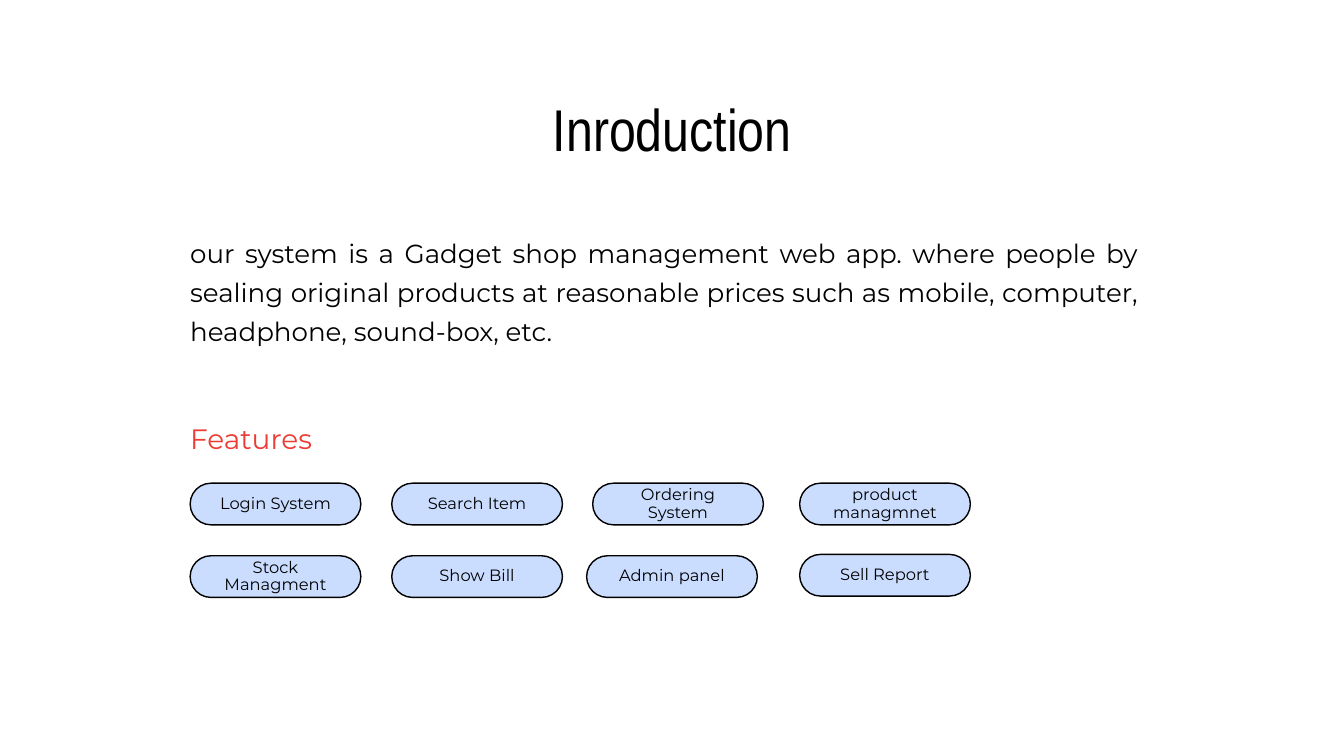
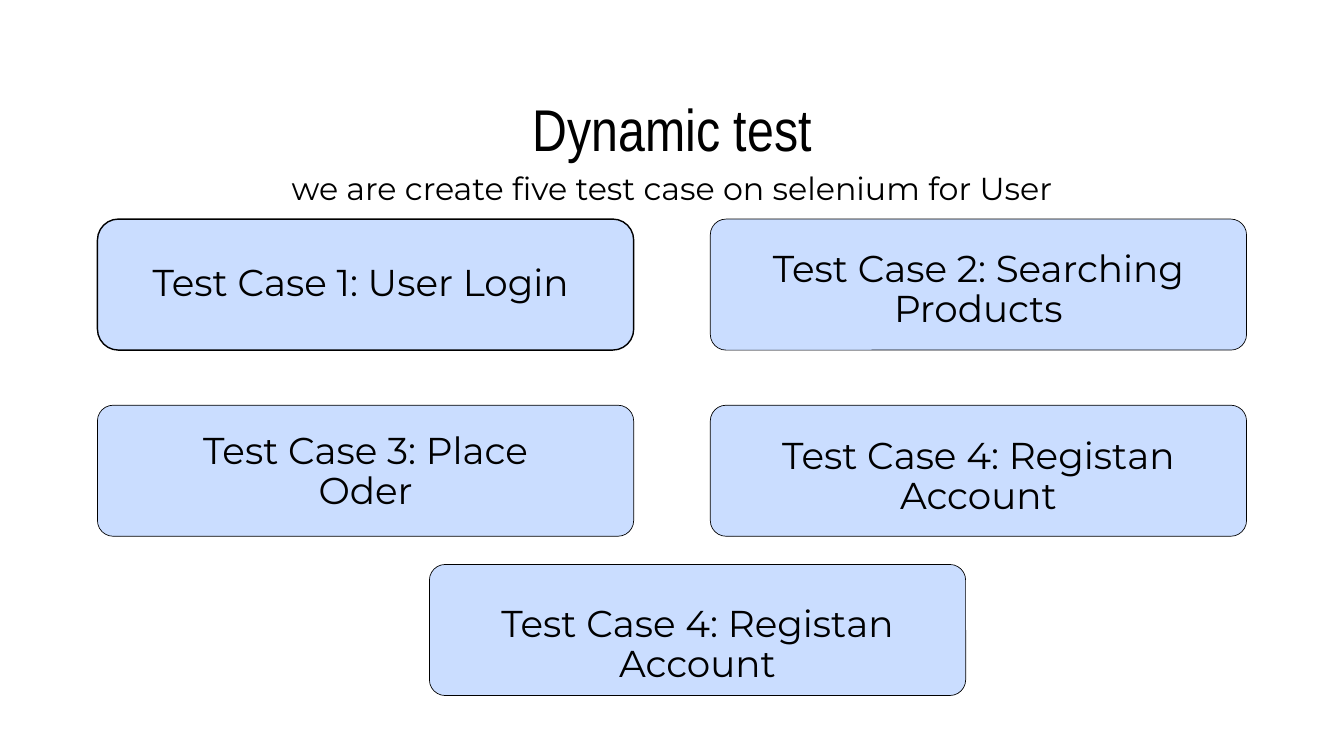
"""Build the introduction and test slides of a shop system talk."""
import dataclasses

import pptx
import pptx.dml.color
import pptx.enum.shapes
import pptx.enum.text
import pptx.util

Inches = pptx.util.Inches
Pt = pptx.util.Pt
Align = pptx.enum.text.PP_ALIGN
Anchor = pptx.enum.text.MSO_ANCHOR


@dataclasses.dataclass(frozen=True)
class Theme:
    """Hold the colours, fonts and (size, line height) pairs of the deck."""
    ink: str = "000000"
    red: str = "EB3C35"
    fill: str = "CADDFF"
    head: str = "Arial Narrow"
    font: str = "Montserrat"
    title: tuple = (63.1, 63.8)
    intro: tuple = (28, 42)
    label: tuple = (30, 45)
    pill: tuple = (17.5, 18.5)
    lead: tuple = (34, 47.6)
    case: tuple = (40, 42.4)


THEME = Theme()


def paint(text):
    """Turn a hex string into a colour."""
    return pptx.dml.color.RGBColor.from_string(text)


def write(shape, text, size, font=THEME.font, ink=THEME.ink,
          align=Align.CENTER, anchor=Anchor.TOP, side=0, top=0):
    """Put formatted text into a shape."""
    frame = shape.text_frame
    frame.word_wrap = True
    frame.auto_size = pptx.enum.text.MSO_AUTO_SIZE.NONE
    frame.vertical_anchor = anchor
    frame.margin_left = frame.margin_right = Inches(side)
    frame.margin_top, frame.margin_bottom = Inches(top), 0
    line = frame.paragraphs[0]
    line.alignment = align
    line.space_before = line.space_after = Pt(0)
    line.line_spacing = Pt(size[1])
    run = line.add_run()
    run.text = text
    run.font.size = Pt(size[0])
    run.font.name = font
    run.font.color.rgb = paint(ink)


def place(shape, box):
    """Move a shape to a box of left, top, width and height."""
    shape.left, shape.top, shape.width, shape.height = map(Inches, box)


def plain(shape):
    """Remove the bullet and the indent from a body placeholder."""
    props = shape.text_frame.paragraphs[0]._p.get_or_add_pPr()
    props.set("marL", "0")
    props.set("indent", "0")
    props.append(props.makeelement(pptx.oxml.ns.qn("a:buNone"), {}))


def start(deck, title, text, box, size):
    """Add a slide with its title and its body text."""
    slide = deck.slides.add_slide(deck.slide_layouts[1])
    head, body = slide.placeholders
    place(head, (4.17, 1.55, 11.67, 0.95))
    write(head, title, THEME.title, font=THEME.head)
    place(body, box)
    write(body, text, size, align=Align.JUSTIFY)
    plain(body)
    return slide


def panel(slide, box, curve, width):
    """Add a filled box with round corners."""
    kind = pptx.enum.shapes.MSO_SHAPE.ROUNDED_RECTANGLE
    shape = slide.shapes.add_shape(kind, *map(Inches, box))
    shape.adjustments[0] = curve
    shape.shadow.inherit = False
    shape.fill.solid()
    shape.fill.fore_color.rgb = paint(THEME.fill)
    shape.line.color.rgb = paint(THEME.ink)
    shape.line.width = Pt(width)
    return shape


def list_parts(slide, box, rows):
    """Add a heading and rows of pills inside a box."""
    left, top, width, _ = box
    label = slide.shapes.add_textbox(*map(Inches, (left, top, width, 0.58)))
    write(label, "Features", THEME.label, ink=THEME.red, align=Align.JUSTIFY)
    for row, items in enumerate(rows):
        for text, x, drop in items:
            spot = (left + x, top + 1.05 + 1.08 * row + drop, 2.54, 0.62)
            pill = panel(slide, spot, 0.5, 1.5)
            write(pill, text, THEME.pill, anchor=Anchor.MIDDLE, side=0.17)


def list_cases(slide, box, cases):
    """Add the test case cards inside a box."""
    left, top, _, _ = box
    for text, x, y, side, drop, curve, width in cases:
        card = panel(slide, (left + x, top + y, 7.98, 1.95), curve, width)
        write(card, text, THEME.case, side=side, top=drop)


def intro(deck):
    """Build the introduction slide."""
    slide = start(
        deck, "Inroduction",
        "our system is a Gadget shop management web app. where people by "
        "sealing original products at reasonable prices such as mobile, "
        "computer, headphone, sound-box, etc.",
        (2.83, 3.41, 14.1, 1.69), THEME.intro)
    list_parts(slide, (2.83, 6.14, 11.6, 2.75), (
        (("Login System", 0, 0), ("Search Item", 3, 0),
         ("Ordering System", 5.99, 0), ("product managmnet", 9.07, 0)),
        (("Stock Managment", 0, 0), ("Show Bill", 3, 0),
         ("Admin panel", 5.9, 0), ("Sell Report", 9.07, -0.02)),
    ))


def tests(deck):
    """Build the dynamic test slide."""
    slide = start(
        deck, "Dynamic test",
        "we are create five test case on selenium for User ",
        (4.34, 2.42, 12.07, 0.63), THEME.lead)
    right, low = 9.12, 2.77
    list_cases(slide, (1.45, 3.26, 17.1, 7.1), (
        ("Test Case 1: User Login ", 0, 0, 0.48, 0.58, 0.16, 1.5),
        ("Test Case 2: Searching Products", right, 0, 0.48, 0.4, 0.12, 0.75),
        ("Test Case 3: Place Oder", 0, low, 0.92, 0.34, 0.12, 0.75),
        ("Test Case 4: Registan Account", right, low, 0.48, 0.41, 0.12, 0.75),
        ("Test Case 4: Registan Account", 4.94, 5.14, 0.48, 0.54, 0.12, 0.75),
    ))


def main():
    """Build and save the deck."""
    deck = pptx.Presentation()
    deck.slide_width, deck.slide_height = Inches(20), Inches(11.25)
    intro(deck)
    tests(deck)
    deck.save("out.pptx")


if __name__ == "__main__":
    main()
